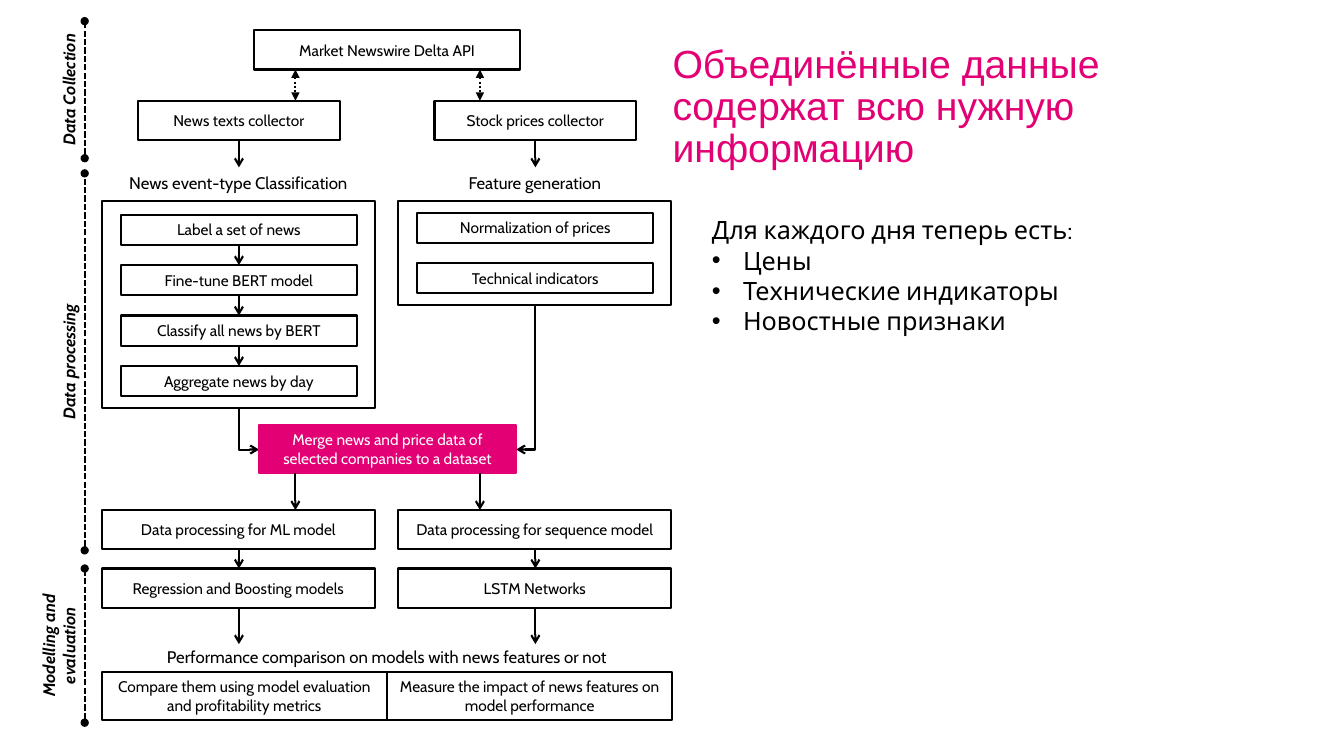
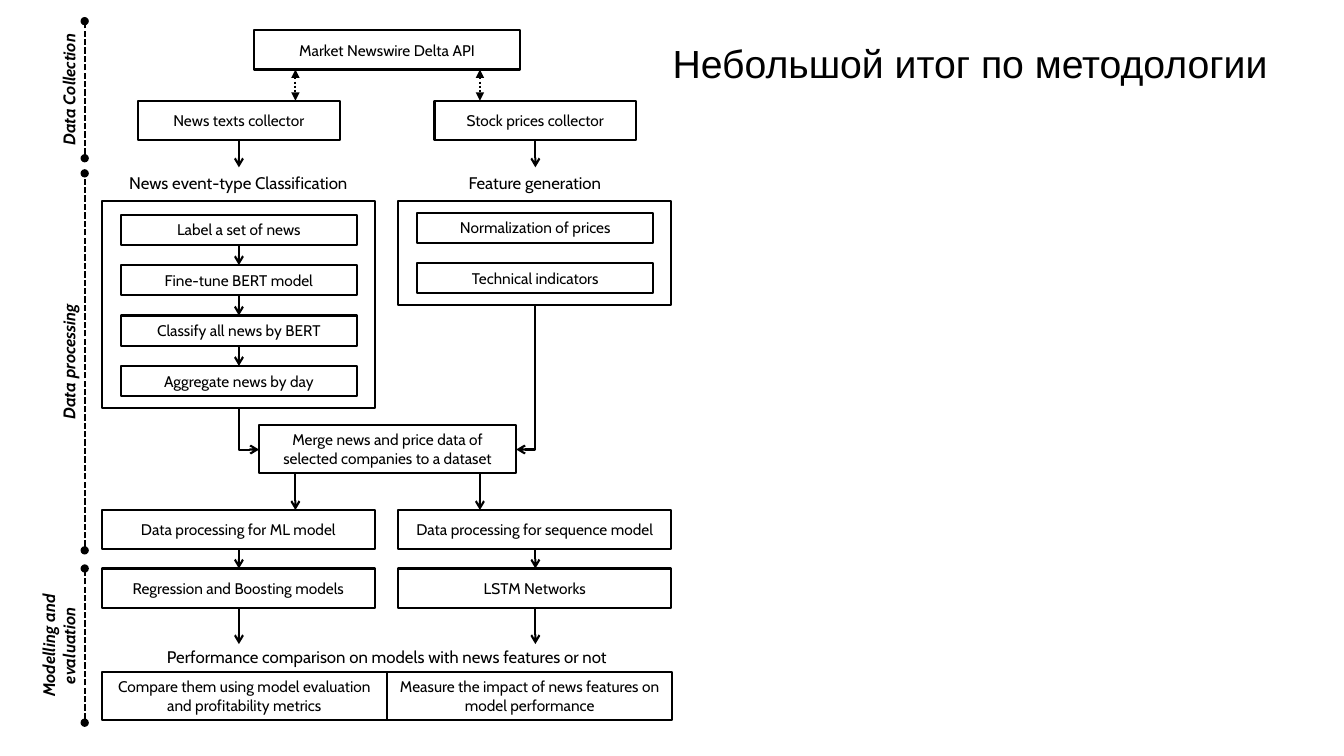
from pptx import Presentation
from pptx.dml.color import RGBColor
from pptx.enum import dml, shapes, text
from pptx.oxml import ns, xmlchemy
from pptx.util import Inches, Pt

BLACK = RGBColor(0x00, 0x00, 0x00)
WHITE = RGBColor(0xFF, 0xFF, 0xFF)
MAGENTA = RGBColor(0xE2, 0x00, 0x74)

DIAGRAM_FONT = "Cabin"
TITLE_FONT = "Arial"
LINE_WIDTH = Pt(1.5)

COLUMN_LEFTS = (1.01, 3.95)
COLUMN_W = 2.71
COLUMN_MID = 1.36
BOX_H = 0.39
STEP_H = 0.3
STEP_PITCH = 0.5
TALL_BOX_H = 0.47
LABEL_H = 0.3
BRANCH_XS = (2.93, 4.76)

PHASES = [
    ("Data Collection", 0.21, 1.57),
    ("Data processing", 1.72, 5.46),
    ("Modelling and evaluation", 5.64, 7.17),
]
COLUMNS = [
    {
        "collector": "News texts collector",
        "heading": "News event-type Classification",
        "steps": ["Label a set of news", "Fine-tune BERT model",
                  "Classify all news by BERT", "Aggregate news by day"],
        "panel_h": 2.06, "pad": 0.14, "linked": True, "merge_x": 2.57,
        "models": ["Data processing for ML model", "Regression and Boosting models"],
    },
    {
        "collector": "Stock prices collector",
        "heading": "Feature generation",
        "steps": ["Normalization of prices", "Technical indicators"],
        "panel_h": 1.04, "pad": 0.12, "linked": False, "merge_x": 5.12,
        "models": ["Data processing for sequence model", "LSTM Networks"],
    },
]
COMPARISONS = [
    "Compare them using model evaluation and profitability metrics",
    "Measure the impact of news features on model performance",
]


def place(sp, x, y, w, h):
    sp.left, sp.top, sp.width, sp.height = (Inches(v) for v in (x, y, w, h))


def style_runs(p, font, size, color, bold=None):
    for r in p.runs:
        r.font.name = font
        r.font.size = Pt(size)
        r.font.color.rgb = color
        r.font.bold = r.font.italic = bold


def write(sp, label, size, color=BLACK, anchor=text.MSO_ANCHOR.MIDDLE, bold=None):
    tf = sp.text_frame
    tf.word_wrap = True
    tf.vertical_anchor = anchor
    tf.text = label
    p = tf.paragraphs[0]
    p.alignment = text.PP_ALIGN.CENTER
    style_runs(p, DIAGRAM_FONT, size, color, bold)


def add_box(s, x, y, w, h, label="", fill=None):
    sp = s.shapes.add_shape(shapes.MSO_SHAPE.RECTANGLE,
                            Inches(x), Inches(y), Inches(w), Inches(h))
    sp.shadow.inherit = False
    sp.line.width = LINE_WIDTH
    sp.line.color.rgb = fill or BLACK
    if fill:
        sp.fill.solid()
        sp.fill.fore_color.rgb = fill
    else:
        sp.fill.background()
    if label:
        write(sp, label, 11, WHITE if fill else BLACK)


def add_label(s, x, y, w, label, **style):
    sp = s.shapes.add_textbox(Inches(x), Inches(y), Inches(w), Inches(LABEL_H))
    write(sp, label, 12, **style)
    return sp


def add_line(s, x1, y1, x2, y2, head=None, tail="arrow", dash=None,
             kind=shapes.MSO_CONNECTOR.STRAIGHT):
    c = s.shapes.add_connector(kind, Inches(x1), Inches(y1), Inches(x2), Inches(y2))
    c.line.color.rgb = BLACK
    c.line.width = LINE_WIDTH
    if dash:
        c.line.dash_style = dash
    ln = c.line._get_or_add_ln()
    for tag, end in (("a:headEnd", head), ("a:tailEnd", tail)):
        if end:
            el = xmlchemy.OxmlElement(tag)
            el.set("type", end)
            ln.append(el)
    c.element.spPr.append(xmlchemy.OxmlElement("a:effectLst"))
    return c


def add_down_elbow(s, x1, y1, x2, y2):
    w, h = y2 - y1, abs(x2 - x1)
    left, top = (x1 + x2 - w) / 2, (y1 + y2 - h) / 2
    c = add_line(s, left, top, left + w, top + h, kind=shapes.MSO_CONNECTOR.ELBOW)
    spPr = c.element.spPr
    spPr.find(ns.qn("a:prstGeom")).set("prst", "bentConnector2")
    xfrm = spPr.find(ns.qn("a:xfrm"))
    turn = 90
    if x2 > x1:
        turn = 270
        xfrm.set("flipH", "1")
    xfrm.set("rot", str(turn * 60000))


def add_phase(s, x, top, bottom, label):
    length = bottom - top
    mid = (top + bottom) / 2
    sp = add_label(s, x - 0.16 - length / 2, mid - LABEL_H / 2, length, label,
                   anchor=text.MSO_ANCHOR.BOTTOM, bold=True)
    sp.rotation = 270
    add_line(s, x, bottom, x, top, head="oval", tail="oval",
             dash=dml.MSO_LINE.SQUARE_DOT)


def add_source(s, x, y, w):
    add_box(s, x, y, w, BOX_H, "Market Newswire Delta API")
    for branch_x in BRANCH_XS:
        add_line(s, branch_x, y + BOX_H, branch_x, y + 0.7, head="triangle",
                 tail="triangle", dash=dml.MSO_LINE.ROUND_DOT)


def add_preparation(s, x, y, column):
    mid = x + COLUMN_MID
    add_box(s, x + 0.36, y, 2, BOX_H, column["collector"])
    add_line(s, mid, y + BOX_H, mid, y + 0.66)
    add_label(s, x, y + 0.66, COLUMN_W, column["heading"])
    panel_y = y + 0.99
    add_box(s, x, panel_y, COLUMN_W, column["panel_h"])
    for i, step in enumerate(column["steps"]):
        step_y = panel_y + column["pad"] + i * STEP_PITCH
        add_box(s, x + 0.19, step_y, 2.34, STEP_H, step)
        if column["linked"] and i:
            add_line(s, mid, step_y - STEP_PITCH + STEP_H, mid, step_y)
    add_down_elbow(s, mid, panel_y + column["panel_h"], column["merge_x"], y + 3.46)


def add_merge(s, x, y, w, fill):
    add_box(s, x, y, w, TALL_BOX_H,
            "Merge news and price data of selected companies to a dataset", fill)
    for branch_x in BRANCH_XS:
        add_line(s, branch_x, y + TALL_BOX_H, branch_x, y + 0.84)


def add_models(s, x, y, labels):
    mid = x + COLUMN_MID
    for i, (label, gap) in enumerate(zip(labels, (0.19, 0.36))):
        box_y = y + i * 0.58
        add_box(s, x, box_y, COLUMN_W, BOX_H, label)
        add_line(s, mid, box_y + BOX_H, mid, box_y + BOX_H + gap)


def add_comparison(s, x, y, w):
    add_label(s, x, y, w, "Performance comparison on models with news features or not")
    for i, label in enumerate(COMPARISONS):
        add_box(s, x + i * w / 2, y + 0.3, w / 2, TALL_BOX_H, label)


def add_pipeline(s, merge_fill=None):
    for label, top, bottom in PHASES:
        add_phase(s, 0.84, top, bottom, label)
    add_source(s, 2.52, 0.3, 2.64)
    for x, column in zip(COLUMN_LEFTS, COLUMNS):
        add_preparation(s, x, 1, column)
        add_models(s, x, 5.06, column["models"])
    add_merge(s, 2.57, 4.22, 2.55, merge_fill)
    add_comparison(s, COLUMN_LEFTS[0], 6.37, 5.66)


def set_title(s, label, color):
    sp = s.shapes.title
    place(sp, 6.67, 0.44, 5.98, 0.79)
    tf = sp.text_frame
    tf.text = label
    tf.word_wrap = True
    tf.auto_size = text.MSO_AUTO_SIZE.NONE
    tf.vertical_anchor = text.MSO_ANCHOR.TOP
    tf.margin_left = tf.margin_right = tf.margin_top = tf.margin_bottom = 0
    p = tf.paragraphs[0]
    p.alignment = text.PP_ALIGN.LEFT
    p.line_spacing = 0.9
    style_runs(p, TITLE_FONT, 28, color)


def set_list(sp, x, y, w, h, intro, items):
    place(sp, x, y, w, h)
    tf = sp.text_frame
    tf.text = "\n".join([intro] + items)
    tf.word_wrap = True
    tf.auto_size = text.MSO_AUTO_SIZE.NONE
    tf.vertical_anchor = text.MSO_ANCHOR.MIDDLE
    for i, p in enumerate(tf.paragraphs):
        pPr = p._p.get_or_add_pPr()
        indent = Inches(0.31) if i else 0
        pPr.set("marL", str(indent))
        pPr.set("indent", str(-indent))
        if i:
            bu_font = xmlchemy.OxmlElement("a:buFont")
            bu_font.set("typeface", "Arial")
            bullet = xmlchemy.OxmlElement("a:buChar")
            bullet.set("char", "•")
            pPr.extend([bu_font, bullet])
        else:
            pPr.append(xmlchemy.OxmlElement("a:buNone"))
        p.space_before = Pt(0)
        style_runs(p, DIAGRAM_FONT, 18, BLACK)


def add_merged_data_slide(prs):
    s = prs.slides.add_slide(prs.slide_layouts[1])
    set_title(s, "Объединённые данные содержат всю нужную информацию", MAGENTA)
    add_pipeline(s, MAGENTA)
    set_list(s.placeholders[1], 6.96, 2.16, 4.31, 1.14, "Для каждого дня теперь есть:",
             ["Цены", "Технические индикаторы", "Новостные признаки"])


def add_summary_slide(prs):
    s = prs.slides.add_slide(prs.slide_layouts[5])
    set_title(s, "Небольшой итог по методологии", BLACK)
    add_pipeline(s)


def main():
    prs = Presentation()
    prs.slide_width, prs.slide_height = Inches(13.33), Inches(7.5)
    add_merged_data_slide(prs)
    add_summary_slide(prs)
    prs.save("out.pptx")


if __name__ == "__main__":
    main()
